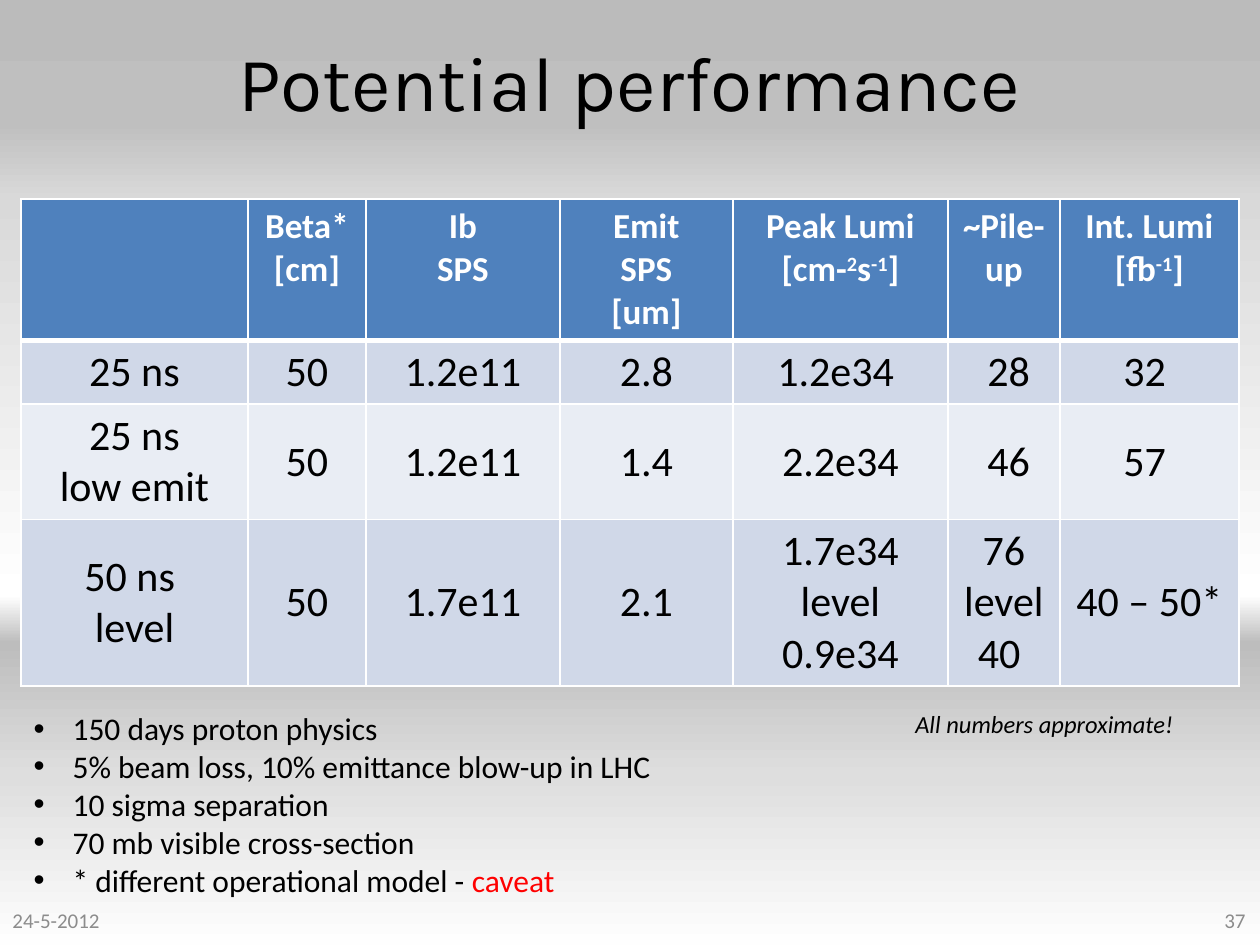
from lxml.etree import SubElement as Sub
from pptx import Presentation
from pptx.dml.color import RGBColor as Rgb
from pptx.enum.text import MSO_ANCHOR as Anchor, MSO_AUTO_SIZE as Auto, PP_ALIGN as Align
from pptx.oxml.ns import qn
from pptx.util import Pt

PX = 914400 / 126
INK = {"text": "000000", "head": "4F81BD", "odd": "D0D8E8", "even": "E9EDF4",
       "white": "FFFFFF", "grey": "8C8C8C", "red": "FF0000"}
SKY = [(0, "BBBBBB"), (13, "BFBFBF"), (21, "D9D9D9"), (63, "FFFFFF"),
       (68, "BDBDBD"), (82, "DEDEDE"), (100, "FEFEFE")]
COLS = [227, 118, 194, 173, 215, 112, 179]
ROWS = [140, 64, 115, 166]
# Lines are split by \n, breaks inside a paragraph are \v, marked runs sit between bars.
CELLS = [
    ["", "Beta*\n[cm]", "Ib\nSPS", "Emit\nSPS\n[um]",
     "Peak Lumi\n[cm-|2|s|-1|]", "~Pile-up", "Int. Lumi\n[fb|-1|]"],
    ["25 ns", "50", "1.2e11", "2.8", "1.2e34 ", " 28", "32 "],
    ["25 ns\vlow emit", "50", "1.2e11", "1.4", "2.2e34", " 46", "57 "],
    ["50 ns \vlevel", "50", "1.7e11", "2.1", "1.7e34\nlevel\v0.9e34",
     "76\vlevel\n40 ", "40 – 50*"],
]
NOTES = """150 days proton physics
5% beam loss, 10% emittance blow-up in LHC
10 sigma separation
70 mb visible cross-section
* different operational model - |caveat|"""


def emu(px):
    return round(px * PX)


def write(frame, text, size=18, ink="text", font="Calibri", bold=False, italic=False,
          align=Align.LEFT, mark=None, bullet=False):
    """Fill a frame; marked runs take the ink named by mark, or are raised if it is None."""
    for i, line in enumerate(text.split("\n")):
        para = frame.paragraphs[0] if i == 0 else frame.add_paragraph()
        if bullet:
            props = para._p.get_or_add_pPr()
            props.set("marL", str(emu(39)))
            props.set("indent", str(-emu(39)))
            Sub(props, qn("a:buFont"), typeface="Arial")
            Sub(props, qn("a:buChar"), char="•")
        para.alignment = align
        para.space_before = Pt(0)
        para.font.size = Pt(size)
        for j, part in enumerate(line.split("|")):
            for k, piece in enumerate(part.split("\v")):
                if k:
                    para.add_line_break()
                if not piece:
                    continue
                run = para.add_run()
                run.text = piece
                face = run.font
                face.name, face.size = font, Pt(size)
                face.bold, face.italic = bold, italic
                marked = j % 2 == 1
                face.color.rgb = Rgb.from_string(INK[mark if marked and mark else ink])
                if marked and not mark:
                    run._r.get_or_add_rPr().set("baseline", "30000")


class Deck:
    def __init__(self):
        self.prs = Presentation()
        self.prs.slide_width, self.prs.slide_height = emu(1260), emu(945)
        self.slide = self.prs.slides.add_slide(self.prs.slide_layouts[1])

    def sky(self, stops):
        fill = self.slide.background.fill
        fill.gradient()
        fill.gradient_angle = 270
        group = self.slide.element.find(".//" + qn("a:gsLst"))
        for old in list(group):
            group.remove(old)
        for pos, ink in stops:
            stop = Sub(group, qn("a:gs"), pos=str(pos * 1000))
            Sub(stop, qn("a:srgbClr"), val=ink)

    def place(self, shape, box, text, anchor=Anchor.TOP, **style):
        shape.left, shape.top, shape.width, shape.height = map(emu, box)
        frame = shape.text_frame
        frame.word_wrap, frame.auto_size = True, Auto.NONE
        frame.vertical_anchor = anchor
        write(frame, text, **style)

    def title(self, box, text, **style):
        self.place(self.slide.shapes.title, box, text, Anchor.MIDDLE,
                   align=Align.CENTER, **style)

    def body(self, box, text, **style):
        self.place(self.slide.placeholders[1], box, text, bullet=True, **style)

    def label(self, box, text, **style):
        shape = self.slide.shapes.add_textbox(*map(emu, box))
        self.place(shape, box, text, **style)

    def edge(self, cell, row):
        props = cell._tc.get_or_add_tcPr()
        for side in "LRTB":
            thick = (row, side) in [(0, "B"), (1, "T")]
            line = Sub(props, qn("a:ln" + side), w=str(Pt(3 if thick else 1)))
            Sub(Sub(line, qn("a:solidFill")), qn("a:srgbClr"), val=INK["white"])

    def table(self, left, top, cols, rows, cells):
        box = map(emu, (left, top, sum(cols), sum(rows)))
        grid = self.slide.shapes.add_table(len(rows), len(cols), *box).table
        for col, wide in zip(grid.columns, cols):
            col.width = emu(wide)
        for r, (row, high) in enumerate(zip(grid.rows, rows)):
            row.height = emu(high)
            head = r == 0
            tint = "head" if head else "odd" if r % 2 else "even"
            for cell, text in zip(row.cells, cells[r]):
                self.edge(cell, r)
                cell.fill.solid()
                cell.fill.fore_color.rgb = Rgb.from_string(INK[tint])
                cell.vertical_anchor = Anchor.TOP if head else Anchor.MIDDLE
                write(cell.text_frame, text, size=20 if head else 24, bold=head,
                      ink="white" if head else "text", align=Align.CENTER)


def main():
    deck = Deck()
    deck.sky(SKY)
    deck.title((63, 21, 1134, 120), "Potential performance", size=44, font="Karla")
    deck.table(21, 199, COLS, ROWS, CELLS)
    deck.body((21, 703, 703, 204), NOTES, mark="red")
    deck.label((903, 703, 305, 43), "All numbers approximate!", size=14, italic=True)
    foot = {"size": 12, "ink": "grey", "anchor": Anchor.MIDDLE}
    deck.label((0, 895, 294, 50), "24-5-2012", **foot)
    deck.label((964, 895, 294, 50), "37", align=Align.RIGHT, **foot)
    deck.prs.save("out.pptx")


if __name__ == "__main__":
    main()
